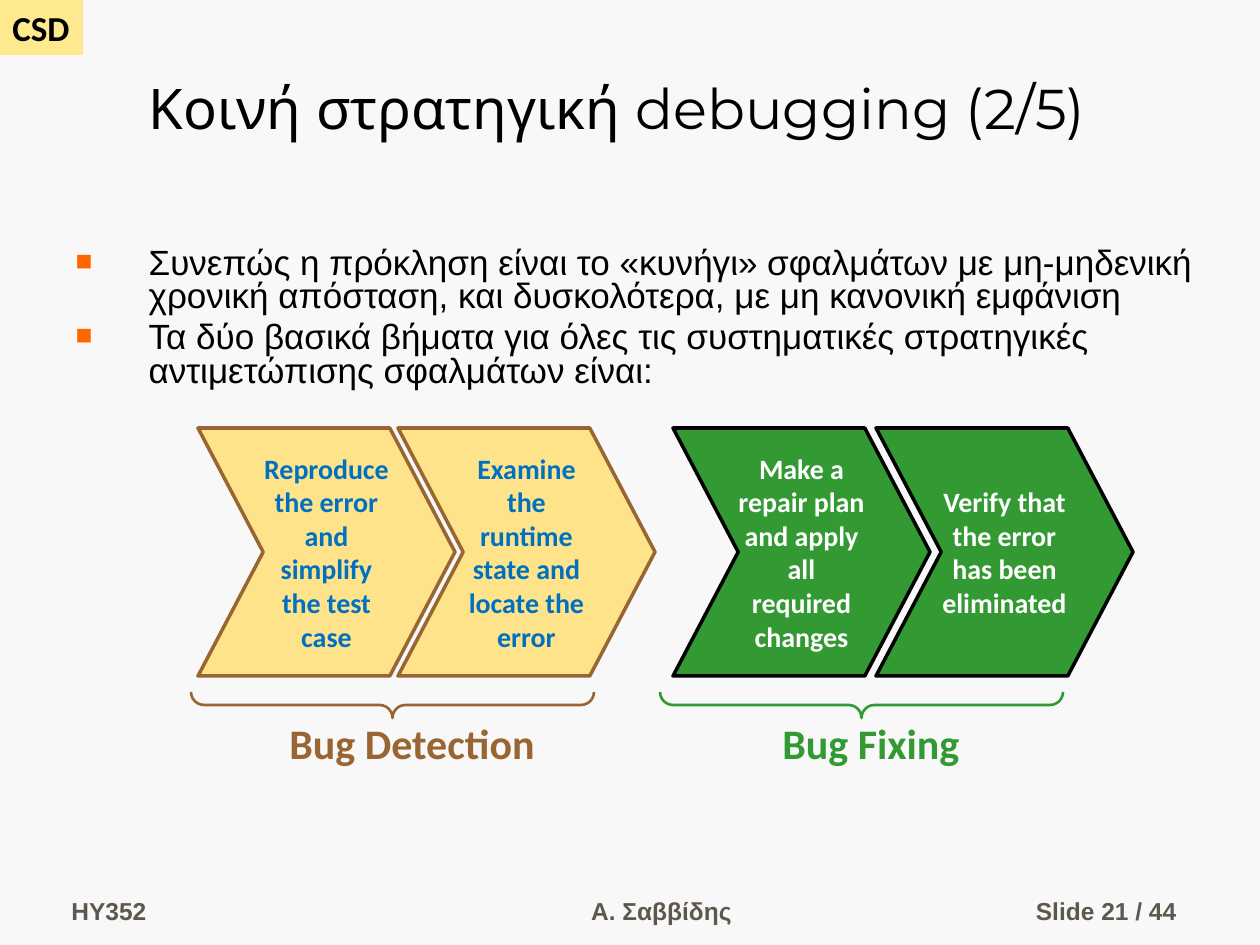
from dataclasses import dataclass

import pptx
import pptx.dml.color
import pptx.enum.shapes
import pptx.enum.text
import pptx.oxml
import pptx.oxml.ns
import pptx.util

PX = 914400 / 126
SHAPE = pptx.enum.shapes.MSO_SHAPE
ALIGN = pptx.enum.text.PP_ALIGN
ANCHOR = pptx.enum.text.MSO_ANCHOR
AUTO = pptx.enum.text.MSO_AUTO_SIZE

BROWN, GREEN, BLACK, ORANGE = "996633", "339933", "000000", "FF6600"
CHEVRON_TOP, CHEVRON_WIDTH, CHEVRON_HEIGHT = 428, 257, 248
BRACE_TOP, BRACE_DEPTH, BRACE_SPAN = 692, 26, 403
LABEL_TOP, LABEL_HEIGHT = 711, 63
FOOTER_TOP, FOOTER_HEIGHT = 869, 63


@dataclass
class Step:
    left: int
    text: str


@dataclass
class Phase:
    name: str
    color: str
    fill: str
    outline: str
    text_color: str
    brace_left: int
    label_left: int
    label_width: int
    steps: list[Step]


@dataclass
class Footer:
    text: str
    left: int
    width: int
    align: ALIGN


PHASES = [
    Phase("Bug Detection", BROWN, "FFE38B", BROWN, "0070C0", 191, 277, 273, [
        Step(198, "Reproduce the error and simplify the test case"),
        Step(398, "Examine the runtime state and locate the error")]),
    Phase("Bug Fixing", GREEN, GREEN, BLACK, "FFFFFF", 660, 770, 204, [
        Step(673, "Make a repair plan and apply all required changes"),
        Step(876, "Verify that the error has been eliminated")]),
]

FOOTERS = [
    Footer("HY352", 59, 276, ALIGN.LEFT),
    Footer("Α. Σαββίδης", 462, 399, ALIGN.CENTER),
    Footer("Slide 21 / 44", 927, 262, ALIGN.RIGHT),
]

BULLETS = [
    "Συνεπώς η πρόκληση είναι το «κυνήγι» σφαλμάτων με μη-μηδενική "
    "χρονική απόσταση, και δυσκολότερα, με μη κανονική εμφάνιση",
    "Τα δύο βασικά βήματα για όλες τις συστηματικές στρατηγικές "
    "αντιμετώπισης σφαλμάτων είναι:",
]


def px(length: float) -> pptx.util.Emu:
    return pptx.util.Emu(round(length * PX))


def box(left: float, top: float, width: float, height: float) -> tuple:
    return px(left), px(top), px(width), px(height)


def rgb(color: str) -> pptx.dml.color.RGBColor:
    return pptx.dml.color.RGBColor.from_string(color)


def write(shape, *paragraphs: str, size: int, font="Calibri", color=BLACK,
          bold=False, align=ALIGN.LEFT, anchor=ANCHOR.TOP, wrap=True,
          before=0, spacing=1.0, inset=None, auto=AUTO.NONE) -> None:
    frame = shape.text_frame
    frame.word_wrap, frame.auto_size = wrap, auto
    frame.vertical_anchor = anchor
    if inset is not None:
        frame.margin_left = frame.margin_right = px(inset)
        frame.margin_top = frame.margin_bottom = px(inset)
    for index, text in enumerate(paragraphs):
        paragraph = frame.add_paragraph() if index else frame.paragraphs[0]
        paragraph.alignment = align
        paragraph.space_before = pptx.util.Pt(before)
        paragraph.line_spacing = spacing
        run = paragraph.add_run()
        run.text = text
        run.font.name, run.font.size = font, pptx.util.Pt(size)
        run.font.bold, run.font.color.rgb = bold, rgb(color)


def add_shape(shapes, kind: SHAPE, position: tuple, fill=None, line=None,
              weight=1.0, adjustments=()):
    shape = shapes.add_shape(kind, *position)
    shape.shadow.inherit = False
    if fill:
        shape.fill.solid()
        shape.fill.fore_color.rgb = rgb(fill)
    else:
        shape.fill.background()
    if line:
        shape.line.color.rgb = rgb(line)
        shape.line.width = pptx.util.Pt(weight)
    else:
        shape.line.fill.background()
    for index, value in enumerate(adjustments):
        shape.adjustments[index] = value
    return shape


def add_square_bullet(paragraph, indent: int) -> None:
    properties = paragraph._p.get_or_add_pPr()
    properties.set("marL", str(px(indent)))
    properties.set("indent", str(px(-indent)))
    namespace = pptx.oxml.ns.nsdecls("a")
    for xml in (f'<a:buClr {namespace}><a:srgbClr val="{ORANGE}"/></a:buClr>',
                f'<a:buSzPct {namespace} val="80000"/>',
                f'<a:buFont {namespace} typeface="Arial"/>',
                f'<a:buChar {namespace} char="■"/>'):
        properties.append(pptx.oxml.parse_xml(xml))


def draw_phase(shapes, phase: Phase) -> None:
    for step in phase.steps:
        chevron = add_shape(
            shapes, SHAPE.CHEVRON,
            box(step.left, CHEVRON_TOP, CHEVRON_WIDTH, CHEVRON_HEIGHT),
            phase.fill, phase.outline, 2, [0.263])
        write(chevron, step.text, size=16, color=phase.text_color, bold=True,
              align=ALIGN.CENTER, anchor=ANCHOR.MIDDLE, inset=0)

    # Label and brace; the brace turns about its centre to point down
    group = shapes.add_group_shape().shapes
    label = group.add_textbox(
        *box(phase.label_left, LABEL_TOP, phase.label_width, LABEL_HEIGHT))
    write(label, phase.name, size=24, color=phase.color, bold=True,
          wrap=False, auto=AUTO.SHAPE_TO_FIT_TEXT)
    shift = (BRACE_SPAN - BRACE_DEPTH) / 2
    brace = add_shape(
        group, SHAPE.RIGHT_BRACE,
        box(phase.brace_left + shift, BRACE_TOP - shift, BRACE_DEPTH, BRACE_SPAN),
        line=phase.color, weight=1.5, adjustments=[0.5, 0.5])
    brace.rotation = 90


def place(shape, position: tuple) -> None:
    shape.left, shape.top, shape.width, shape.height = position


def main() -> None:
    deck = pptx.Presentation()
    deck.slide_width, deck.slide_height = px(1260), px(945)
    slide = deck.slides.add_slide(deck.slide_layouts[1])
    slide.background.fill.solid()
    slide.background.fill.fore_color.rgb = rgb("F8F8F8")

    # Corner tag
    tag = add_shape(slide.shapes, SHAPE.RECTANGLE, box(0, 0, 83, 55), "FFE98F")
    write(tag, "CSD", size=20, bold=True, wrap=False,
          auto=AUTO.SHAPE_TO_FIT_TEXT)

    # Footer line
    for footer in FOOTERS:
        note = slide.shapes.add_textbox(
            *box(footer.left, FOOTER_TOP, footer.width, FOOTER_HEIGHT))
        write(note, footer.text, size=14, font="Arial", color="5E574E",
              bold=True, align=footer.align, anchor=ANCHOR.BOTTOM, before=7)

    # Title and bullets
    title, body = slide.placeholders
    place(title, box(136, 21, 1124, 126))
    write(title, "Κοινή στρατηγική debugging (2/5)", size=32,
          font="Montserrat", anchor=ANCHOR.BOTTOM)
    place(body, box(63, 242, 1144, 160))
    write(body, *BULLETS, size=20, font="Arial", before=4, spacing=0.8)
    for paragraph in body.text_frame.paragraphs:
        add_square_bullet(paragraph, 73)

    # Debugging phases
    for phase in PHASES:
        draw_phase(slide.shapes, phase)

    deck.save("out.pptx")


if __name__ == "__main__":
    main()
